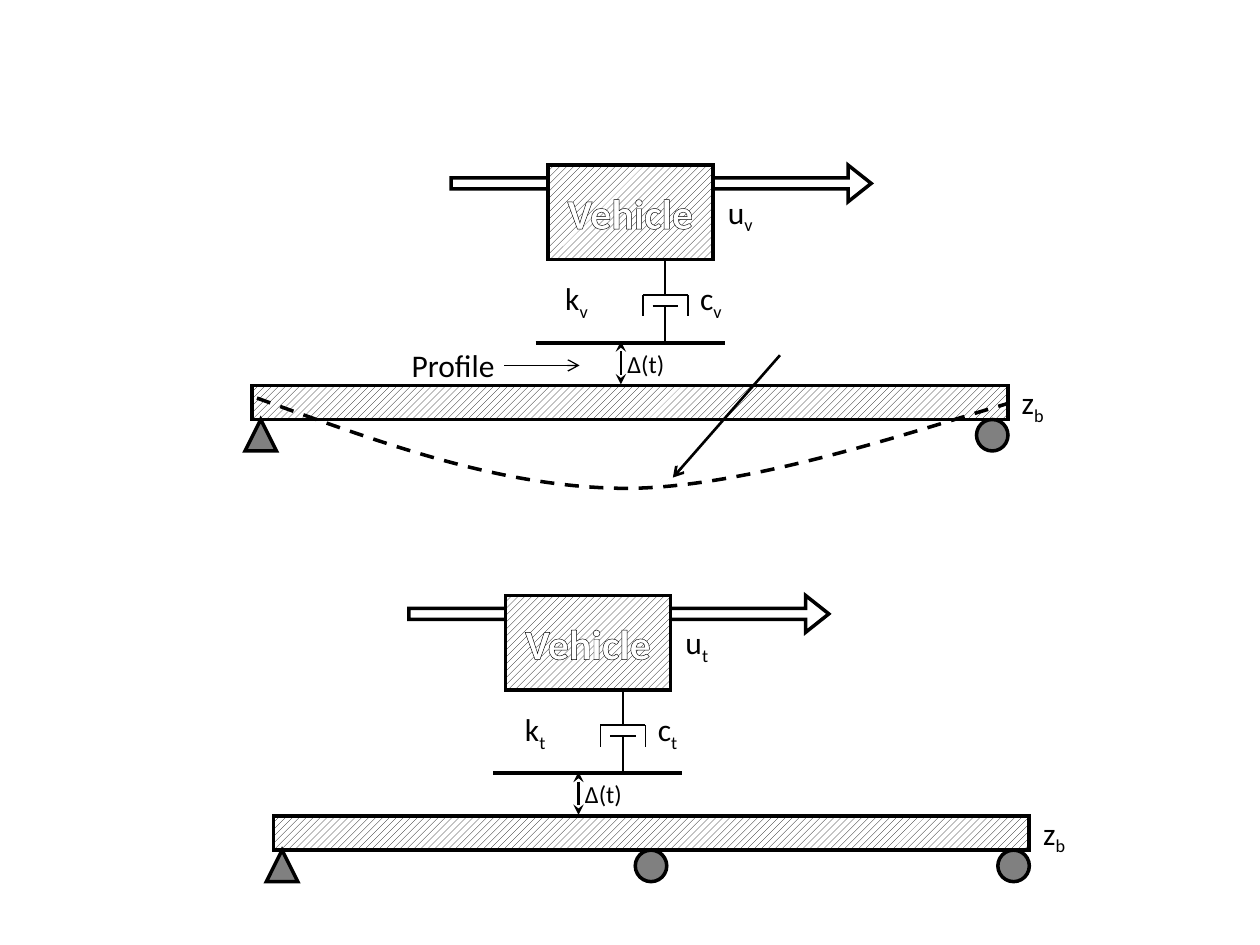
from lxml import etree
from pptx import Presentation
from pptx.dml.color import RGBColor
from pptx.enum import dml, shapes, text
from pptx.oxml import ns
from pptx.util import Pt

BLACK, WHITE, GREY = "000000", "FFFFFF", "808080"
KINDS = shapes.MSO_SHAPE


def colour(value):
    return RGBColor.from_string(value)


def child(parent, tag, **attributes):
    return etree.SubElement(parent, ns.qn(tag), attributes)


def outline(shape, width):
    shape.line.color.rgb = colour(BLACK)
    shape.line.width = Pt(width)


def add_block(page, kind, box, fill=None):
    """Add a preset shape; fill is a hex colour, "hatch" or None."""
    shape = page.shapes.add_shape(kind, *map(Pt, box))
    shape.shadow.inherit = False
    if fill is None:
        shape.fill.background()
    elif fill == "hatch":
        shape.fill.patterned()
        shape.fill.pattern = dml.MSO_PATTERN.WIDE_UPWARD_DIAGONAL
        shape.fill.fore_color.rgb = colour(BLACK)
        shape.fill.back_color.rgb = colour(WHITE)
    else:
        shape.fill.solid()
        shape.fill.fore_color.rgb = colour(fill)
    outline(shape, 2)
    child(shape.line._get_or_add_ln(), "a:miter", lim="800000")
    return shape


def add_line(parent, start, end, width, head=None, tail=None):
    line = parent.shapes.add_connector(
        shapes.MSO_CONNECTOR.STRAIGHT, *map(Pt, (*start, *end)))
    outline(line, width)
    properties = line.line._get_or_add_ln()
    for tag, arrow in (("a:headEnd", head), ("a:tailEnd", tail)):
        if arrow:
            child(properties, tag, type=arrow)
    child(line._element.spPr, "a:effectLst")
    return line


def add_span(para, words, **format_values):
    span = para.add_run()
    span.text = words
    span.font.color.rgb = colour(format_values.pop("color", BLACK))
    for name, value in {"name": "Calibri", **format_values}.items():
        setattr(span.font, name, value)
    return span


def add_label(page, box, words, subscript="", size=18, align=text.PP_ALIGN.LEFT):
    label = page.shapes.add_textbox(*map(Pt, box))
    frame = label.text_frame
    frame.word_wrap = True
    frame.auto_size = text.MSO_AUTO_SIZE.SHAPE_TO_FIT_TEXT
    para = frame.paragraphs[0]
    para.alignment = align
    add_span(para, words, size=Pt(size))
    if subscript:
        span = add_span(para, subscript, size=Pt(size))
        span.font._element.set("baseline", "-25000")


def add_dashpot(page, centre, top):
    group = page.shapes.add_group_shape()
    cup, plate, cup_end, bottom = (top + drop for drop in (20.2, 26.5, 32.4, 46.8))
    left, right = centre - 12.85, centre + 12.85
    for start, end in (
        ((centre, top), (centre, cup)),
        ((left, cup), (right, cup)),
        ((left, cup), (left, cup_end)),
        ((right, cup), (right, cup_end)),
        ((centre - 7.2, plate), (centre + 7.2, plate)),
        ((centre, plate), (centre, bottom)),
    ):
        add_line(group, start, end, 1)


def add_vehicle(page, box, subscript):
    """Vehicle body with its travel arrow, suspension and contact gap."""
    left, top, width, height = box

    # Travel arrow behind the body
    travel = add_block(page, KINDS.RIGHT_ARROW, (left - 55.2, top, 240, 21))
    travel.adjustments[0], travel.adjustments[1] = 0.3, 0.63

    # Body with outlined lettering
    body = add_block(page, KINDS.RECTANGLE, box, "hatch")
    body.text_frame.vertical_anchor = text.MSO_ANCHOR.MIDDLE
    para = body.text_frame.paragraphs[0]
    para.alignment = text.PP_ALIGN.CENTER
    span = add_span(para, "Vehicle", size=Pt(24), bold=True, color=WHITE)
    edge = etree.Element(ns.qn("a:ln"), w=str(Pt(1.5)))
    child(child(edge, "a:solidFill"), "a:srgbClr", val=BLACK)
    span.font._element.insert(0, edge)

    # Contact line and gap to the beam
    contact = top + 101.5
    add_line(page, (left - 7, contact), (left + 101, contact), 2.25)
    add_line(page, (left + 41.8, contact - 0.7), (left + 41.8, contact + 23.8),
             1.25, "stealth", "stealth")
    add_label(page, (left + 38.4, contact, 39, 24.3), "Δ(t)", size=14)

    # Suspension and its labels
    add_dashpot(page, left + 67.2, top + height)
    add_label(page, (left + width + 1.5, top + 12.2, 44.6, 28.8), "u", subscript)
    add_label(page, (left - 4.7, top + 61.9, 34.6, 28.8), "k", subscript,
              align=text.PP_ALIGN.RIGHT)
    add_label(page, (left + 80, top + 61.9, 42.5, 28.8), "c", subscript)


def add_beam(page, box, rollers):
    """Beam on a pinned left support, with rollers at the given offsets."""
    left, top, width, height = box
    add_block(page, KINDS.RECTANGLE, box, "hatch")
    add_label(page, (left + width + 0.8, top - 5, 53.3, 28.8), "z", "b")
    supports = [(KINDS.ISOSCELES_TRIANGLE, -4)]
    supports += [(KINDS.OVAL, offset) for offset in rollers]
    for kind, offset in supports:
        add_block(page, kind, (left + offset, top + height, 18, 18), GREY)


def add_deflection(page, box):
    """Dashed sagging curve of two cubic pieces, and its pointer."""
    left, top, width, height = box
    fractions = ((0.163, 0.49), (0.324, 0.99), (0.49, 1),
                 (0.656, 1), (0.891, 0.32), (1, 0.06))
    points = [(Pt(left + x * width), Pt(top + y * height)) for x, y in fractions]
    builder = page.shapes.build_freeform(Pt(left), Pt(top))
    builder.add_line_segments(points, close=False)
    curve = builder.convert_to_shape()
    curve.shadow.inherit = False
    curve.fill.background()
    outline(curve, 2)
    curve.line.dash_style = dml.MSO_LINE.DASH

    # Turn each three straight segments into one cubic curve
    segments = list(curve._element.iter(ns.qn("a:lnTo")))
    route = segments[0].getparent()
    for first in range(0, len(segments), 3):
        cubic = child(route, "a:cubicBezTo")
        for segment in segments[first:first + 3]:
            cubic.append(segment[0])
            route.remove(segment)

    add_line(page, (445.7, 203), (384.5, 272.9), 1.5, tail="arrow")


def add_profile(page, box):
    add_label(page, box, "Profile")
    left, top = box[:2]
    add_line(page, (left + 59.8, top + 14.4), (left + 103, top + 14.4),
             0.75, tail="arrow")


def main():
    deck = Presentation()
    deck.slide_width, deck.slide_height = Pt(720), Pt(540)
    page = deck.slides.add_slide(deck.slide_layouts[6])

    # Upper model: one span
    add_vehicle(page, (313, 94.3, 94.3, 54), "v")
    add_beam(page, (144, 220.3, 432, 19.4), [414])

    # Lower model: two spans
    add_vehicle(page, (288.8, 340.3, 94.3, 54), "t")
    add_beam(page, (156.2, 466.4, 432, 19.4), [414, 206.8])

    add_deflection(page, (146.9, 227.5, 429.1, 51.6))
    add_profile(page, (228.2, 194.4, 90.7, 28.8))
    deck.save("out.pptx")


if __name__ == "__main__":
    main()
